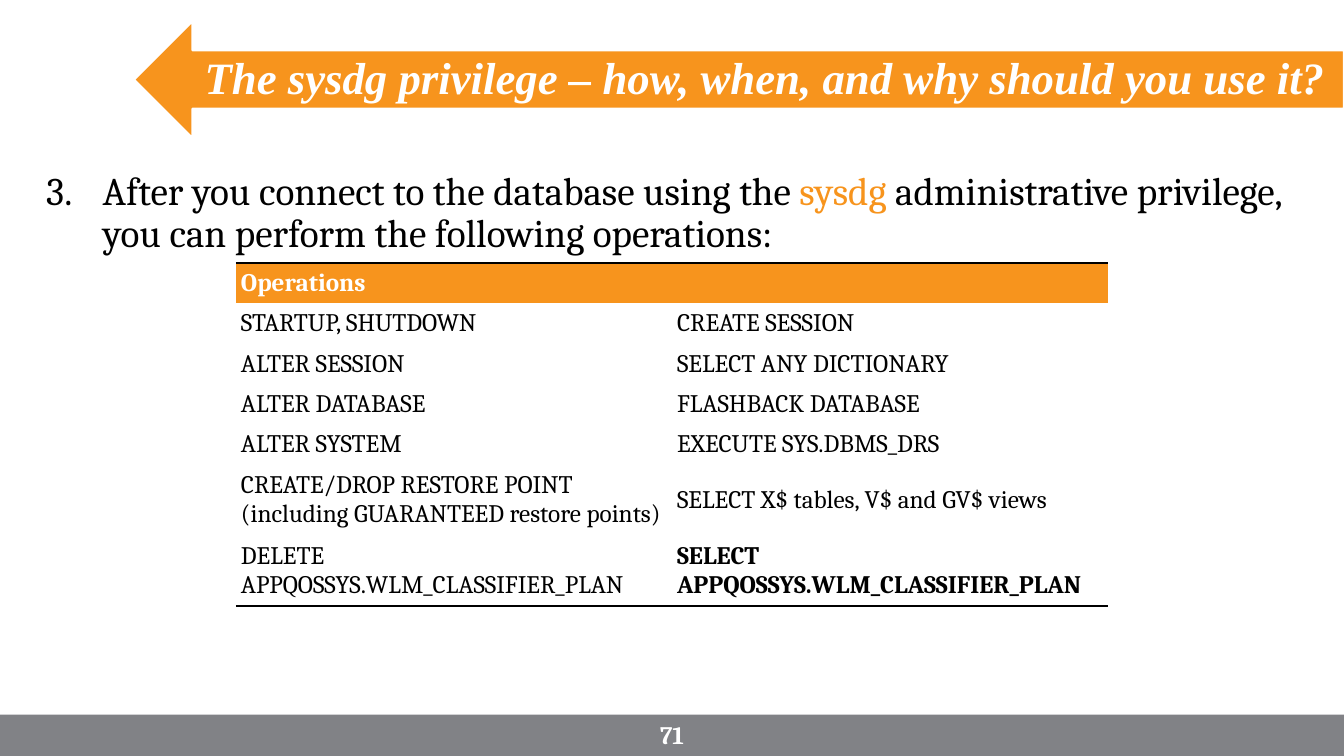
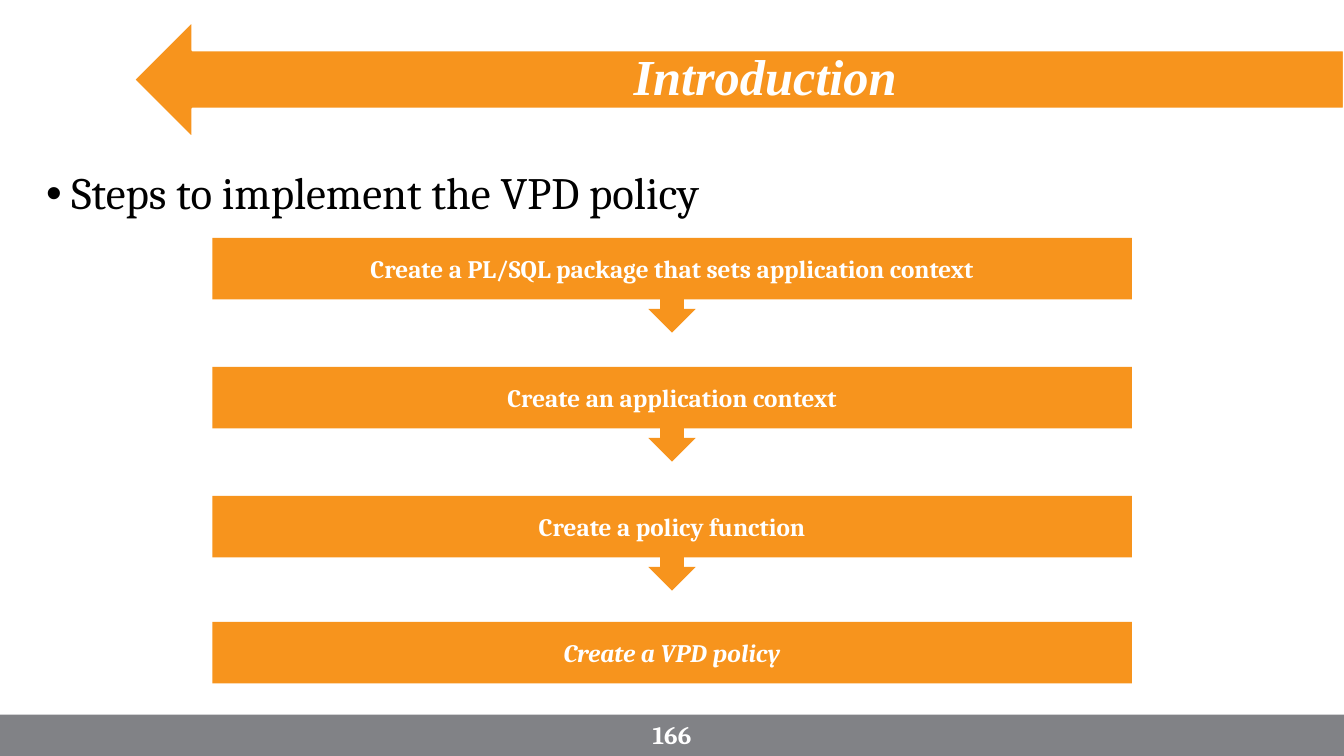
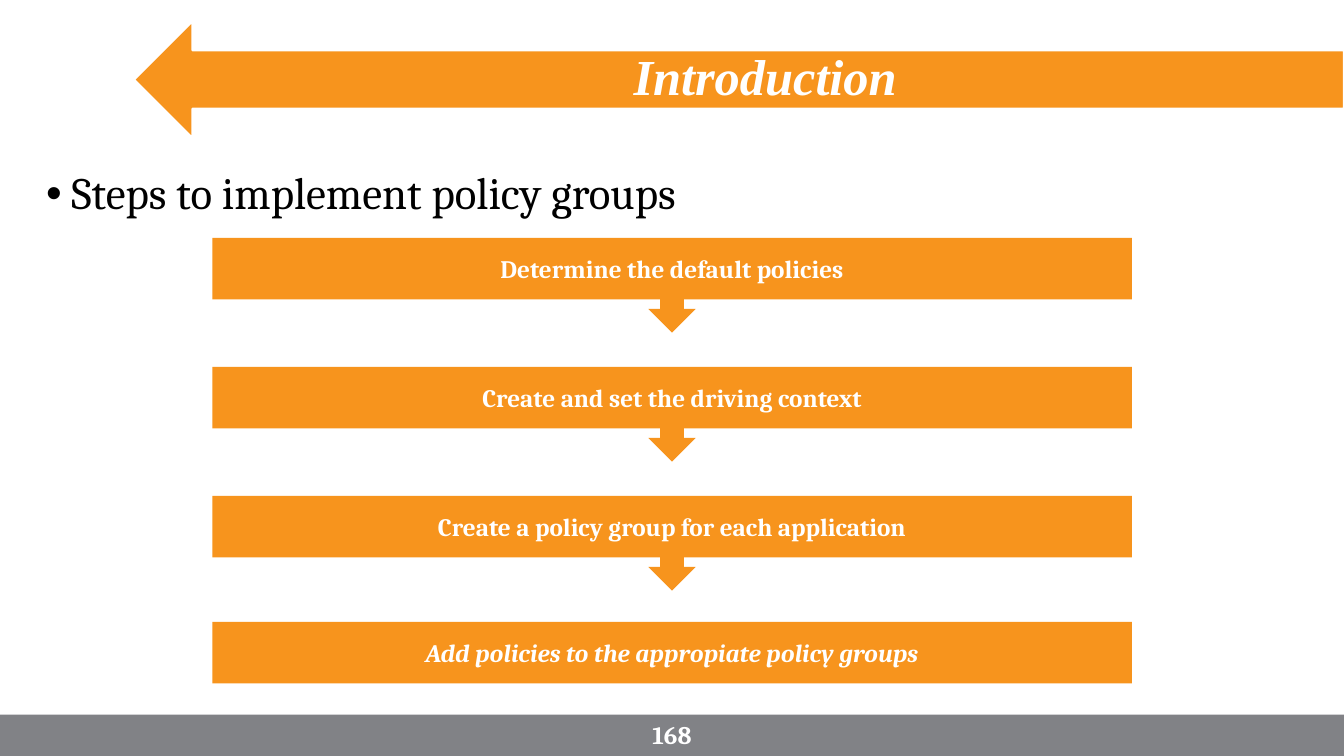
from pptx import Presentation, util as u
from pptx.dml.color import RGBColor
from pptx.enum import shapes, text
from pptx.oxml import parse_xml
from pptx.oxml.ns import nsdecls, qn

WIDTH, HEIGHT = 13.33, 7.5
ORANGE, GRAY, WHITE, BLACK = "F7941D", "818286", "FFFFFF", "000000"
BODY_FONT, TITLE_FONT = "Cambria", "Times New Roman"
PLAIN_TABLE = "{2D5ABB26-0587-4C30-8999-92F81FD0307C}"
NUMBER_THREE = '<a:buAutoNum {} type="arabicPeriod" startAt="3"/>'
DOT = '<a:buChar {} char="•"/>'

OPERATIONS = [
    ("Operations", ""),
    ("STARTUP, SHUTDOWN", "CREATE SESSION"),
    ("ALTER SESSION", "SELECT ANY DICTIONARY"),
    ("ALTER DATABASE", "FLASHBACK DATABASE"),
    ("ALTER SYSTEM", "EXECUTE SYS.DBMS_DRS"),
    ("CREATE/DROP RESTORE POINT\n(including GUARANTEED restore points)",
     "SELECT X$ tables, V$ and GV$ views"),
    ("DELETE APPQOSSYS.WLM_CLASSIFIER_PLAN", "SELECT APPQOSSYS.WLM_CLASSIFIER_PLAN"),
]
ROW_HEIGHTS = [0.39] * 5 + [0.68] * 2
BOLD_CELLS = {(0, 0), (6, 1)}

SLIDES = [
    dict(title="The sysdg privilege – how, when, and why should you use it?",
         title_size=32, number="71", bullet=NUMBER_THREE, indent=0.56, body_size=28,
         body=[("After you connect to the database using the ", BLACK),
               ("sysdg ", ORANGE),
               ("administrative privilege, you can perform the following operations:", BLACK)],
         table=OPERATIONS),
    dict(title="Introduction", title_size=36, number="166",
         bullet=DOT, indent=0.25, body_size=32,
         body=[("Steps to implement the VPD policy", BLACK)],
         steps=["Create a PL/SQL package that sets application context",
                "Create an application context",
                "Create a policy function",
                "Create a VPD policy"]),
    dict(title="Introduction", title_size=36, number="168",
         bullet=DOT, indent=0.25, body_size=32,
         body=[("Steps to implement policy groups", BLACK)],
         steps=["Determine the default policies",
                "Create and set the driving context",
                "Create a policy group for each application",
                "Add policies to the appropiate policy groups"]),
]


def color(value):
    return RGBColor.from_string(value)


def inches(*lengths):
    return [u.Inches(length) for length in lengths]


def write(frame, content, size=18, font=BODY_FONT, fill=WHITE, bold=False, italic=False,
          align=text.PP_ALIGN.LEFT, anchor=text.MSO_ANCHOR.MIDDLE, spacing=None):
    """Fill a frame with a string (one paragraph a line) or one list of (text, colour) spans."""
    frame.word_wrap = True
    frame.vertical_anchor = anchor
    lines = ([[(line, fill)] for line in content.split("\n")]
             if isinstance(content, str) else [content])
    for index, spans in enumerate(lines):
        para = frame.add_paragraph() if index else frame.paragraphs[0]
        para.alignment = align
        para.line_spacing = spacing
        for words, shade in spans:
            span = para.add_run()
            span.text = words
            span.font.size, span.font.name = u.Pt(size), font
            span.font.bold, span.font.italic = bold, italic
            span.font.color.rgb = color(shade)


def add_text(page, place, content, **style):
    frame = page.shapes.add_textbox(*inches(*place)).text_frame
    write(frame, content, **style)
    return frame


def add_block(page, preset, place, fill, line=None):
    block = page.shapes.add_shape(preset, *inches(*place))
    block.shadow.inherit = False
    block.fill.solid()
    block.fill.fore_color.rgb = color(fill)
    if line:
        block.line.color.rgb = color(line)
        block.line.width = u.Pt(1.5)
    else:
        block.line.fill.background()
    return block


def add_frame(page, title, title_size, number):
    """Draw the title arrow and the numbered footer that every slide has."""
    add_block(page, shapes.MSO_SHAPE.LEFT_ARROW, (1.33, 0.21, 12, 1.16), ORANGE, WHITE)
    add_block(page, shapes.MSO_SHAPE.RECTANGLE, (0, 7.09, WIDTH, 0.41), GRAY)
    add_text(page, (1.66, 0.43, 11.86, 0.72), title, size=title_size, font=TITLE_FONT,
             bold=True, italic=True, align=text.PP_ALIGN.CENTER, spacing=0.9)
    add_text(page, ((WIDTH - 0.75) / 2, 7.09, 0.75, 0.4), number, bold=True,
             align=text.PP_ALIGN.CENTER)


def add_body(page, spans, size, bullet, indent):
    frame = add_text(page, (0.36, 1.65, 12.59, 4.76), spans, size=size,
                     anchor=text.MSO_ANCHOR.TOP, spacing=0.9)
    properties = frame.paragraphs[0]._p.get_or_add_pPr()
    properties.set("marL", str(u.Inches(indent)))
    properties.set("indent", str(-u.Inches(indent)))
    properties.append(parse_xml(f'<a:buFont {nsdecls("a")} typeface="'
                                f'{"Arial" if bullet == DOT else BODY_FONT}"/>'))
    properties.append(parse_xml(bullet.format(nsdecls("a"))))


def add_rule(cell, side):
    """Draw a black 2 pt border on side T or B of a cell."""
    cell._tc.get_or_add_tcPr().insert(0, parse_xml(
        f'<a:ln{side} {nsdecls("a")} w="{u.Pt(2)}"><a:solidFill>'
        f'<a:srgbClr val="{BLACK}"/></a:solidFill></a:ln{side}>'))


def add_operations(page, rows):
    width = 8.65
    place = inches((WIDTH - width) / 2, 2.61, width, sum(ROW_HEIGHTS))
    table = page.shapes.add_table(len(rows), len(rows[0]), *place).table
    table.horz_banding = False
    table._tbl.tblPr.find(qn("a:tableStyleId")).text = PLAIN_TABLE
    for r, row in enumerate(rows):
        table.rows[r].height = u.Inches(ROW_HEIGHTS[r])
        for c, words in enumerate(row):
            cell = table.cell(r, c)
            cell.margin_left = cell.margin_right = u.Inches(0.05)
            cell.margin_top = cell.margin_bottom = u.Inches(0.05)
            cell.vertical_anchor = text.MSO_ANCHOR.MIDDLE
            cell.fill.solid()
            cell.fill.fore_color.rgb = color(WHITE if r else ORANGE)
            write(cell.text_frame, words, fill=BLACK if r else WHITE,
                  bold=(r, c) in BOLD_CELLS)
            if r == 0:
                add_rule(cell, "T")
            elif r == len(rows) - 1:
                add_rule(cell, "B")


def add_steps(page, steps):
    """Stack callouts that point down to a plain last box."""
    width, top, pitch, last_top = 9.12, 2.36, 1.28, 6.17
    left = (WIDTH - width) / 2
    for index, step in enumerate(steps):
        last = index == len(steps) - 1
        if last:
            preset, place = shapes.MSO_SHAPE.RECTANGLE, (left, last_top, width, 0.61)
        else:
            preset = shapes.MSO_SHAPE.DOWN_ARROW_CALLOUT
            place = (left, top + index * pitch, width, 0.94)
        block = add_block(page, preset, place, ORANGE)
        write(block.text_frame, step, bold=True, italic=last, align=text.PP_ALIGN.CENTER)


def main():
    deck = Presentation()
    deck.slide_width, deck.slide_height = inches(WIDTH, HEIGHT)
    for content in SLIDES:
        page = deck.slides.add_slide(deck.slide_layouts[6])
        add_frame(page, content["title"], content["title_size"], content["number"])
        add_body(page, content["body"], content["body_size"], content["bullet"],
                 content["indent"])
        if "table" in content:
            add_operations(page, content["table"])
        else:
            add_steps(page, content["steps"])
    deck.save("out.pptx")


if __name__ == "__main__":
    main()
